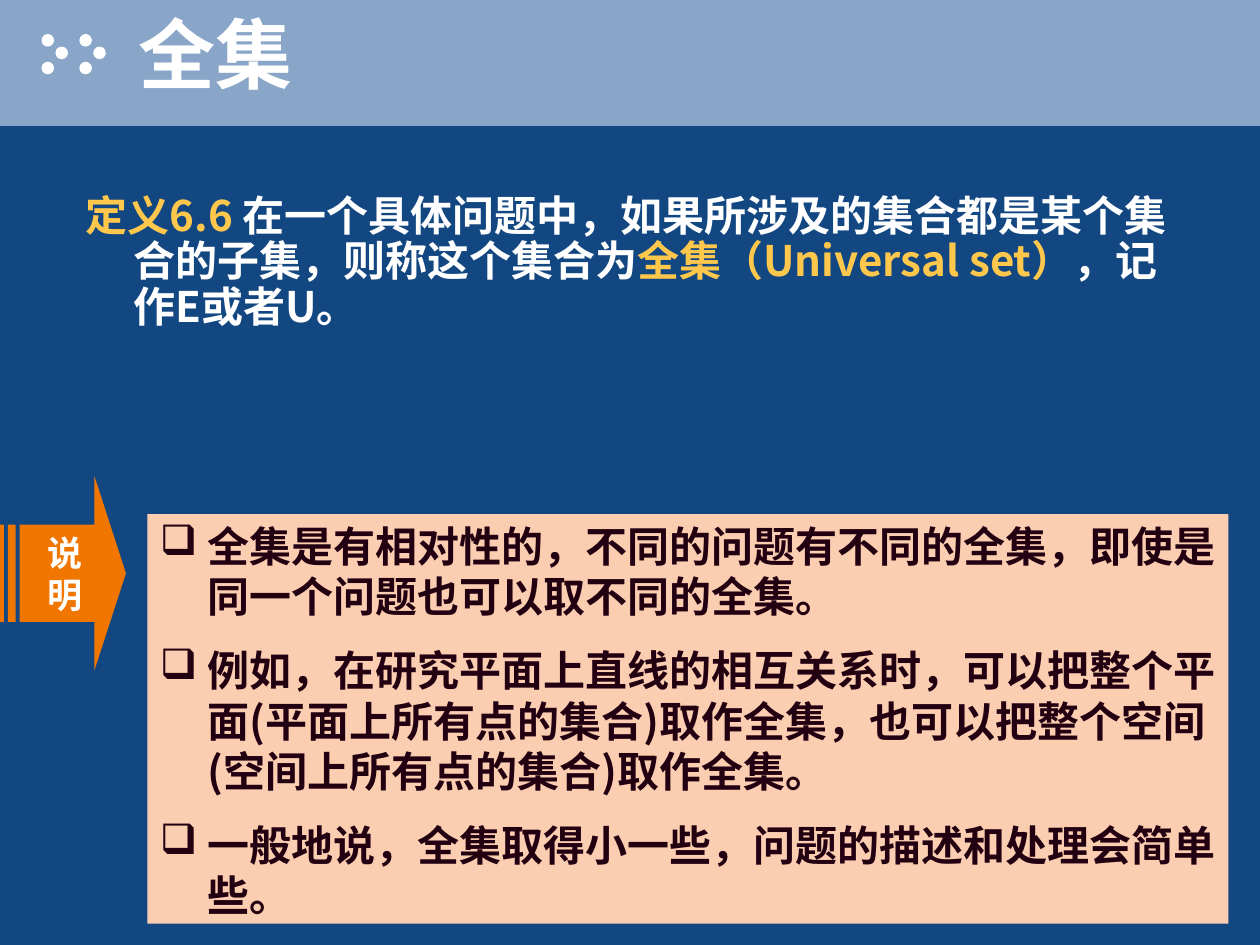
from pptx import Presentation
from pptx.dml.color import RGBColor
from pptx.enum.shapes import MSO_SHAPE
from pptx.enum.text import MSO_ANCHOR, MSO_AUTO_SIZE, PP_ALIGN
from pptx.oxml import parse_xml
from pptx.oxml.ns import nsdecls, qn
from pptx.util import Inches, Pt

RECTANGLE, OVAL = MSO_SHAPE.RECTANGLE, MSO_SHAPE.OVAL
ARROW = MSO_SHAPE.STRIPED_RIGHT_ARROW
TOP, MIDDLE = MSO_ANCHOR.TOP, MSO_ANCHOR.MIDDLE
LEFT, CENTER = PP_ALIGN.LEFT, PP_ALIGN.CENTER
NO_AUTOFIT = MSO_AUTO_SIZE.NONE

CJK_FONT = "Noto Sans CJK SC"
NAVY, BAND, WHITE = "134781", "89A5C7", "FFFFFF"
GOLD, ORANGE, PEACH, DARK = "FFC84D", "F07600", "FCCEB1", "220011"

DEFINITION = [
    ("定义6.6 ", GOLD),
    ("在一个具体问题中，如果所涉及的集合都是某个集合的子集，则称这个集合为", WHITE),
    ("全集（Universal set）", GOLD),
    ("，记作E或者U。", WHITE),
]
NOTES = [
    "全集是有相对性的，不同的问题有不同的全集，即使是同一个问题也可以取不同的全集。",
    "例如，在研究平面上直线的相互关系时，可以把整个平面(平面上所有点的集合)取作全集，"
    "也可以把整个空间(空间上所有点的集合)取作全集。",
    "一般地说，全集取得小一些，问题的描述和处理会简单些。",
]


def rgb(color):
    return RGBColor.from_string(color)


def set_all(target, values):
    for name, value in values.items():
        setattr(target, name, value)


def place_on_top(slide, placeholder, box):
    """Position a placeholder and bring it in front of the shapes drawn so far."""
    names = ("left", "top", "width", "height")
    set_all(placeholder, dict(zip(names, map(Inches, box))))
    slide.shapes._spTree.append(placeholder._element)


def add_filled(slide, kind, box, color):
    shape = slide.shapes.add_shape(kind, *map(Inches, box))
    shape.shadow.inherit = False
    shape.fill.solid()
    shape.fill.fore_color.rgb = rgb(color)
    shape.line.fill.background()
    return shape


def format_frame(frame, anchor, side=0.1, edge=0.05):
    set_all(frame, {
        "word_wrap": True, "auto_size": NO_AUTOFIT, "vertical_anchor": anchor,
        "margin_left": Inches(side), "margin_right": Inches(side),
        "margin_top": Inches(edge), "margin_bottom": Inches(edge),
    })


def add_run(paragraph, text, size, color, font=CJK_FONT):
    run = paragraph.add_run()
    run.text = text
    set_all(run.font, {"size": Pt(size), "bold": True, "name": font})
    run.font.color.rgb = rgb(color)
    east_asian = parse_xml(f'<a:ea {nsdecls("a")} typeface="{CJK_FONT}"/>')
    run.font._element.append(east_asian)
    return run


def set_hanging(paragraph, bullet=None):
    """Hang the first line, with a bullet or without one."""
    properties = paragraph._p.get_or_add_pPr()
    properties.set("marL", str(Inches(0.38)))
    properties.set("indent", str(Inches(-0.38)))
    if bullet is None:
        parts = [f'<a:buNone {nsdecls("a")}/>']
    else:
        parts = [
            f'<a:buClr {nsdecls("a")}><a:srgbClr val="{DARK}"/></a:buClr>',
            f'<a:buChar {nsdecls("a")} char="{bullet}"/>',
        ]
    for part in parts:
        properties.append(parse_xml(part))


def add_text_shadow(run, color):
    shadow = parse_xml(
        f'<a:effectLst {nsdecls("a")}><a:outerShdw dist="25400" dir="2700000">'
        f'<a:srgbClr val="{color}"/></a:outerShdw></a:effectLst>')
    run.font._element.find(qn("a:latin")).addprevious(shadow)


def add_dots(slide, left, top):
    """Two chevrons of three dots each."""
    for chevron in (0, 0.3):
        for x, y in ((0, 0), (0.11, 0.1), (0, 0.22)):
            add_filled(slide, OVAL, (left + chevron + x, top + y, 0.1, 0.1), WHITE)


def add_header(slide, box):
    left, top, width, height = box
    add_filled(slide, RECTANGLE, box, BAND)
    add_dots(slide, left + 0.33, top + 0.27)
    title = slide.shapes.title
    place_on_top(slide, title, (left + 1, top, width - 1, height - 0.17))
    format_frame(title.text_frame, MIDDLE)
    heading = title.text_frame.paragraphs[0]
    heading.alignment = LEFT
    add_text_shadow(add_run(heading, "全集", 44, WHITE), DARK)


def add_definition(slide, box):
    body = slide.placeholders[1]
    place_on_top(slide, body, box)
    format_frame(body.text_frame, TOP)
    definition = body.text_frame.paragraphs[0]
    set_hanging(definition)
    set_all(definition, {"alignment": LEFT, "line_spacing": 0.9, "space_before": Pt(0)})
    for text, color in DEFINITION:
        add_run(definition, text, 24, color)


def add_label_arrow(slide, box):
    arrow = add_filled(slide, ARROW, box, ORANGE)
    arrow.adjustments[0], arrow.adjustments[1] = 0.5, 0.25
    format_frame(arrow.text_frame, MIDDLE)
    label = arrow.text_frame.paragraphs[0]
    label.alignment = CENTER
    add_run(label, "说明", 20, WHITE, "Arial")


def add_notes_panel(slide, box):
    panel = add_filled(slide, RECTANGLE, box, PEACH)
    frame = panel.text_frame
    format_frame(frame, TOP)
    for index, text in enumerate(NOTES):
        note = frame.add_paragraph() if index else frame.paragraphs[0]
        set_hanging(note, "❑")
        set_all(note, {"alignment": LEFT, "space_before": Pt(13.5 if index else 0)})
        add_run(note, text, 24, DARK)


def main():
    deck = Presentation()
    set_all(deck, {"slide_width": Inches(10), "slide_height": Inches(7.5)})
    slide = deck.slides.add_slide(deck.slide_layouts[1])
    slide.background.fill.solid()
    slide.background.fill.fore_color.rgb = rgb(NAVY)
    add_header(slide, (0, 0, 10, 1))
    add_definition(slide, (0.58, 1.5, 8.92, 1.25))
    add_label_arrow(slide, (0, 3.78, 1, 1.54))
    add_notes_panel(slide, (1.17, 4.08, 8.58, 3.25))
    deck.save("out.pptx")


if __name__ == "__main__":
    main()
